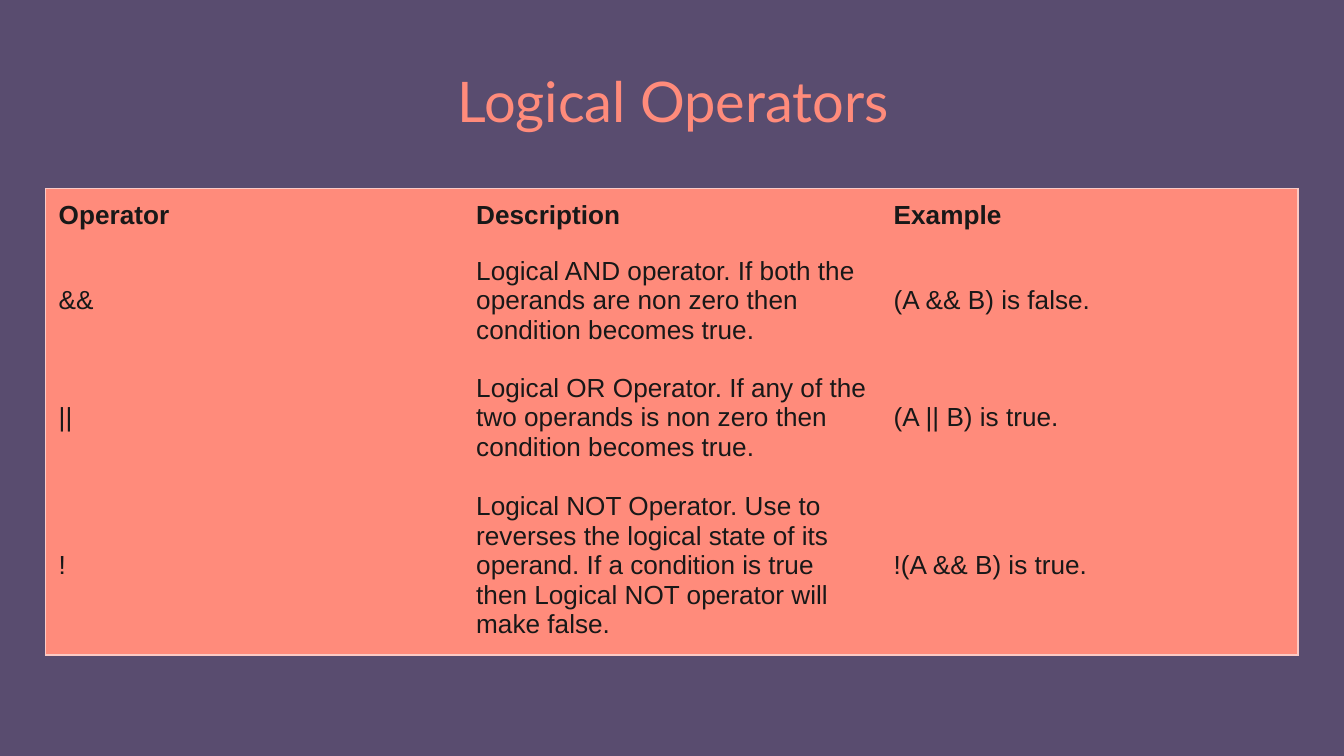
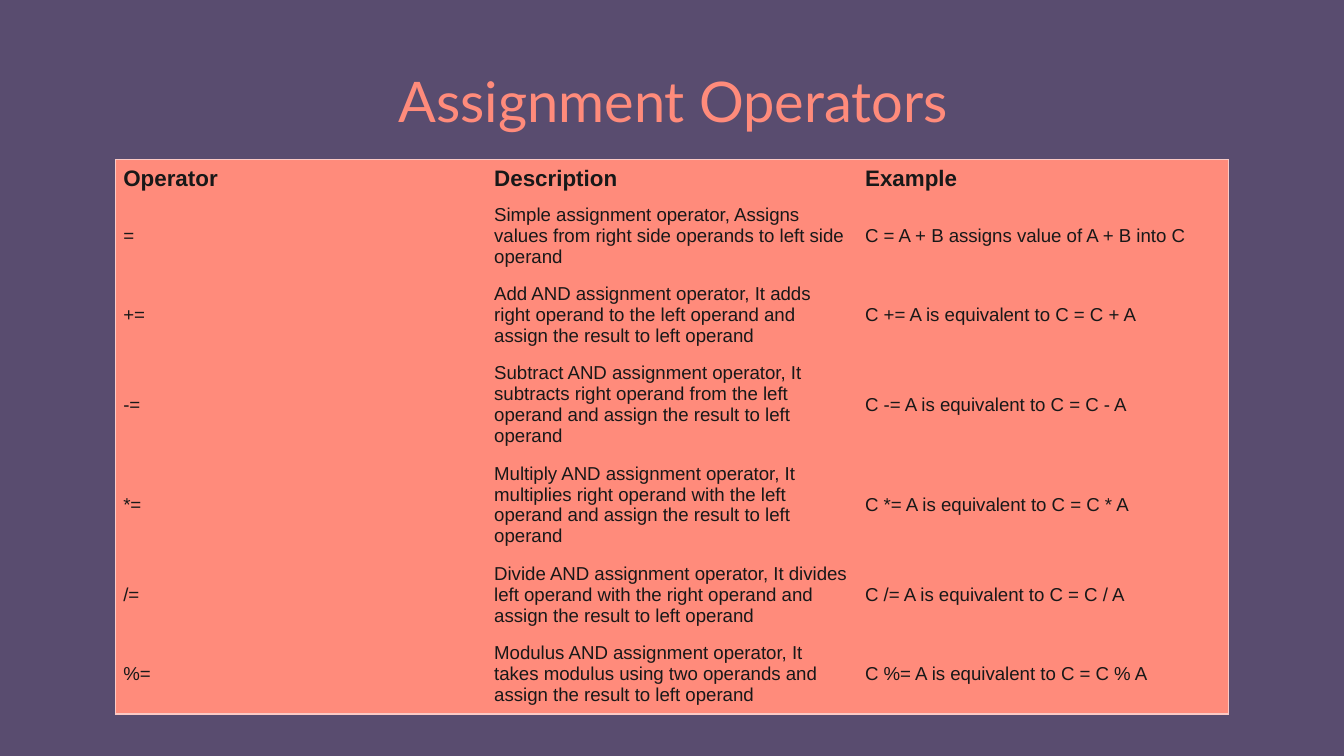
from lxml import etree
from pptx import Presentation
from pptx import util as u
from pptx.dml.color import RGBColor
from pptx.enum import text
from pptx.oxml.ns import qn

COLORS = {"bg": "594C6F", "coral": "FF8B7B", "ink": "181818", "border": "FBCAC5"}
NO_GRID = "{2D5ABB26-0587-4C30-8999-92F81FD0307C}"
HEADER = ("Operator", "Description", "Example")

TABLES = [
    dict(
        title="Logical Operators", left=0.86, top=3.56, col=7.89,
        heights=[1.02, 2.21, 2.21, 3.38], inset=(0.25, 0.2), head_size=14, size=14,
        rows=[
            ("&&", "Logical AND operator. If both the operands are non zero then condition becomes true.",
             "(A && B) is false."),
            ("||", "Logical OR Operator. If any of the two operands is non zero then condition becomes true.",
             "(A || B) is true."),
            ("!", "Logical NOT Operator. Use to reverses the logical state of its operand. "
             "If a condition is true then Logical NOT operator will make false.",
             "!(A && B) is true."),
        ],
    ),
    dict(
        title="Assignment Operators", left=2.18, top=3.02, col=7.01,
        heights=[0.53, 1.17, 1.5, 1.8, 1.5, 1.5, 1.5], inset=(0.15, 0.1), head_size=12, size=10,
        rows=[
            ("=", "Simple assignment operator, Assigns values from right side operands to left side operand",
             "C = A + B assigns value of A + B into C"),
            ("+=", "Add AND assignment operator, It adds right operand to the left operand "
             "and assign the result to left operand",
             "C += A is equivalent to C = C + A"),
            ("-=", "Subtract AND assignment operator, It subtracts right operand from the left operand "
             "and assign the result to left operand",
             "C -= A is equivalent to C = C - A"),
            ("*=", "Multiply AND assignment operator, It multiplies right operand with the left operand "
             "and assign the result to left operand",
             "C *= A is equivalent to C = C * A"),
            ("/=", "Divide AND assignment operator, It divides left operand with the right operand "
             "and assign the result to left operand",
             "C /= A is equivalent to C = C / A"),
            ("%=", "Modulus AND assignment operator, It takes modulus using two operands "
             "and assign the result to left operand",
             "C %= A is equivalent to C = C % A"),
        ],
    ),
]


def write(tf, content, size, color="ink", font="Arial", bold=False, align=text.PP_ALIGN.LEFT):
    tf.word_wrap = True
    p = tf.paragraphs[0]
    p.alignment = align
    r = p.add_run()
    r.text = content
    r.font.size = u.Pt(size)
    r.font.name = font
    r.font.bold = bold
    r.font.color.rgb = RGBColor.from_string(COLORS[color])


def add_border(cell, side):
    ln = etree.SubElement(cell._tc.get_or_add_tcPr(), qn(f"a:ln{side}"), w=str(u.Pt(0.75)))
    fill = etree.SubElement(ln, qn("a:solidFill"))
    etree.SubElement(fill, qn("a:srgbClr"), val=COLORS["border"])


prs = Presentation()
prs.slide_width, prs.slide_height = u.Cm(25.4), u.Cm(14.29)

for t in TABLES:
    s = prs.slides.add_slide(prs.slide_layouts[6])
    s.background.fill.solid()
    s.background.fill.fore_color.rgb = RGBColor.from_string(COLORS["bg"])

    sp = s.shapes.add_textbox(u.Cm(1.98), u.Cm(1), u.Cm(21.49), u.Cm(1.6))
    tf = sp.text_frame
    tf.margin_left = tf.margin_right = tf.margin_top = tf.margin_bottom = u.Cm(0.25)
    write(tf, t["title"], 30, color="coral", font="Lato", align=text.PP_ALIGN.CENTER)

    rows = [HEADER] + t["rows"]
    last_row, last_col = len(rows) - 1, len(HEADER) - 1
    frame = s.shapes.add_table(len(rows), len(HEADER), u.Cm(t["left"]), u.Cm(t["top"]),
                               u.Cm(t["col"] * len(HEADER)), u.Cm(sum(t["heights"])))
    tbl = frame.table
    tbl.horz_banding = tbl.first_row = False
    next(frame.element.iter(qn("a:tableStyleId"))).text = NO_GRID
    for col in tbl.columns:
        col.width = u.Cm(t["col"])

    for i, values in enumerate(rows):
        tbl.rows[i].height = u.Cm(t["heights"][i])
        for j, value in enumerate(values):
            cell = tbl.cell(i, j)
            edges = {"L": j == 0, "R": j == last_col, "T": i == 0, "B": i == last_row}
            for side, outer in edges.items():
                if outer:
                    add_border(cell, side)
            cell.fill.solid()
            cell.fill.fore_color.rgb = RGBColor.from_string(COLORS["coral"])
            cell.vertical_anchor = text.MSO_ANCHOR.MIDDLE
            cell.margin_left = cell.margin_right = u.Cm(t["inset"][0])
            cell.margin_top = cell.margin_bottom = u.Cm(t["inset"][1])
            write(cell.text_frame, value, t["size"] if i else t["head_size"], bold=i == 0)

prs.save("out.pptx")
